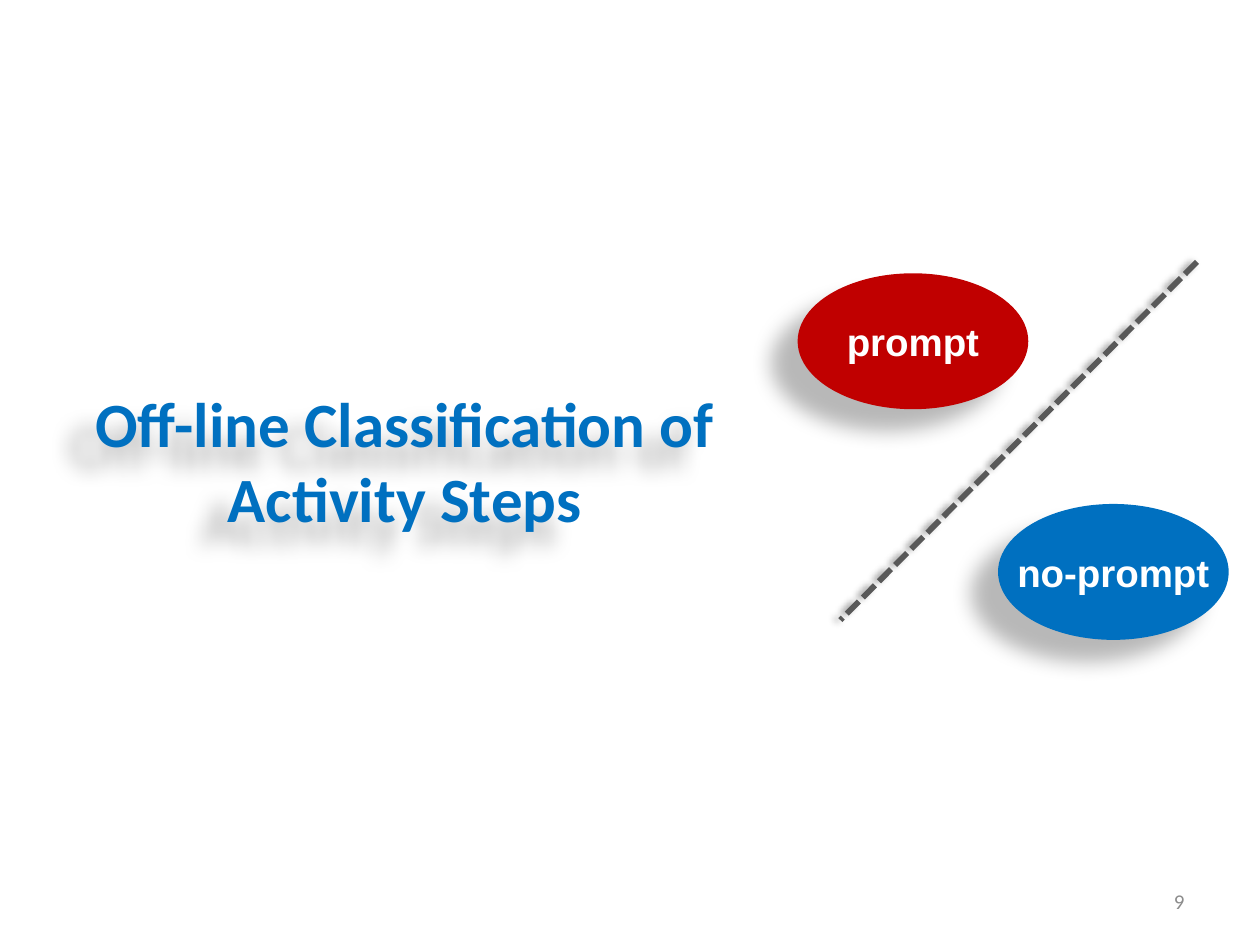
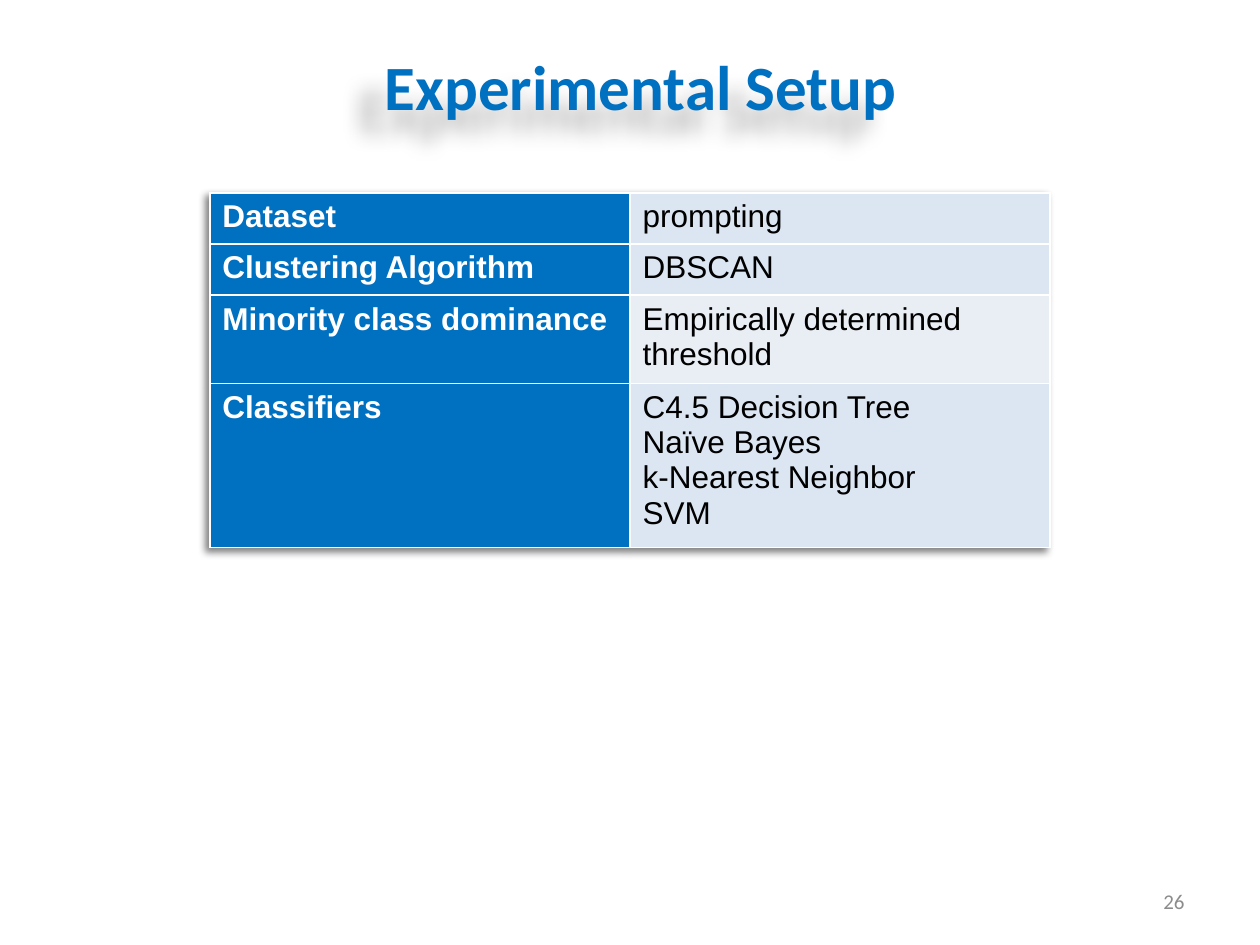
from lxml.etree import SubElement as Sub
from pptx import Presentation
from pptx.dml.color import RGBColor as Rgb
from pptx.enum.dml import MSO_LINE as Dash
from pptx.enum.shapes import MSO_CONNECTOR as Link, MSO_SHAPE as Kind
from pptx.enum.text import MSO_ANCHOR as Anchor, MSO_AUTO_SIZE as Fit, PP_ALIGN as Align
from pptx.oxml import parse_xml
from pptx.oxml.ns import nsdecls, qn
from pptx.util import Cm, Pt

# Content
INTRO = {"title": "Off-line Classification of Activity Steps",
         "box": (0.64, 7.62, 15.04, 3.33), "page": "9"}
SETUP = {"title": "Experimental Setup",
         "box": (3.81, 0.84, 18.21, 1.8), "page": "26"}
CLASSES = [("prompt", "red", 16.08, 5.51), ("no-prompt", "blue", 20.12, 10.16)]
SPLIT = (24.13, 5.28, 16.94, 12.5)
ROWS = [  # label, values, fill, height
    ("Dataset", ["prompting"], "pale", 1.03),
    ("Clustering Algorithm", ["DBSCAN"], "pale", 1.03),
    ("Minority class dominance", ["Empirically determined threshold"], "mist", 1.78),
    ("Classifiers", ["C4.5 Decision Tree", "Naïve Bayes", "k-Nearest Neighbor", "SVM"],
     "pale", 3.3),
]

# Shared style
HUES = {"blue": "0070C0", "red": "C00000", "white": "FFFFFF", "black": "000000",
        "gray": "8C8C8C", "dark": "595959", "pale": "DCE6F2", "mist": "E9EDF4"}
OVAL = (4.65, 2.74)
PAGE = (18.21, 17.65, 5.92, 1.02)
TABLE = (4.23, 3.89)
COL = 8.47
DEEP = (28, 11.8, 19.7, 141)  # opacity %, blur pt, distance pt, angle
SOFT = (40, 4, 3, 180)
LOW = (50, 4, 3, 141)


def hue(name):
    return Rgb.from_string(HUES[name])


def cms(sizes):
    return [Cm(size) for size in sizes]


def style(frame, font, size, color, bold=False, align=None):
    for para in frame.paragraphs:
        if align is not None:
            para.alignment = align
        for run in para.runs:
            run.font.name, run.font.size, run.font.bold = font, Pt(size), bold
            run.font.color.rgb = hue(color)


def shade(alpha, blur, dist, angle):
    return parse_xml(
        f'<a:effectLst {nsdecls("a")}><a:outerShdw blurRad="{Pt(blur)}" dist="{Pt(dist)}" '
        f'dir="{angle * 60000}" algn="t" rotWithShape="0"><a:srgbClr val="{HUES["black"]}">'
        f'<a:alpha val="{alpha * 1000}"/></a:srgbClr></a:outerShdw></a:effectLst>')


def start(deck, info):
    """Add a slide with its title and page number."""
    slide = deck.slides.add_slide(deck.slide_layouts[5])
    title = slide.shapes.title
    title.left, title.top, title.width, title.height = cms(info["box"])
    frame = title.text_frame
    frame.text = info["title"]
    frame.auto_size, frame.vertical_anchor = Fit.NONE, Anchor.TOP
    style(frame, "Calibri", 36, "blue", True, Align.CENTER)
    title._element.spPr.append(shade(*DEEP))

    frame = slide.shapes.add_textbox(*cms(PAGE)).text_frame
    frame.text = info["page"]
    frame.word_wrap, frame.vertical_anchor = True, Anchor.MIDDLE
    style(frame, "Calibri", 12, "gray", align=Align.RIGHT)
    return slide


def draw_split(slide):
    line = slide.shapes.add_connector(Link.STRAIGHT, *cms(SPLIT))
    line.line.color.rgb = hue("dark")
    line.line.width, line.line.dash_style = Pt(3.25), Dash.SQUARE_DOT
    line._element.spPr.append(shade(*SOFT))


def draw_class(slide, name, color, left, top):
    oval = slide.shapes.add_shape(Kind.OVAL, *cms((left, top, *OVAL)))
    oval.fill.solid()
    oval.fill.fore_color.rgb = hue(color)
    oval.line.fill.background()
    oval._element.spPr.append(shade(*DEEP))
    frame = oval.text_frame
    frame.text = name
    frame.word_wrap, frame.vertical_anchor = False, Anchor.MIDDLE
    style(frame, "Arial", 22, "white", True, Align.CENTER)


def edge(cell):
    """Put thin white lines on all sides, ahead of the fill."""
    props = cell._tc.get_or_add_tcPr()
    for spot, side in enumerate(("lnL", "lnR", "lnT", "lnB")):
        line = parse_xml(f'<a:{side} {nsdecls("a")} w="{Pt(1)}"/>')
        solid = Sub(line, qn("a:solidFill"))
        Sub(solid, qn("a:srgbClr")).set("val", HUES["white"])
        props.insert(spot, line)


def draw_table(slide):
    high = sum(row[-1] for row in ROWS)
    table = slide.shapes.add_table(len(ROWS), 2, *cms((*TABLE, 2 * COL, high))).table
    table._tbl.tblPr.insert(0, shade(*LOW))
    for line, (label, values, fill, tall) in zip(table.rows, ROWS):
        line.height = Cm(tall)
        parts = [(label, "blue", "white", True), ("\n".join(values), fill, "black", False)]
        for cell, (text, back, ink, bold) in zip(line.cells, parts):
            cell.text_frame.text = text
            style(cell.text_frame, "Arial", 18, ink, bold)
            cell.fill.solid()
            cell.fill.fore_color.rgb = hue(back)
            edge(cell)


def main():
    deck = Presentation()
    deck.slide_width, deck.slide_height = Cm(25.4), Cm(19.05)

    # Two classes and the line between them
    slide = start(deck, INTRO)
    draw_split(slide)
    for item in CLASSES:
        draw_class(slide, *item)

    # Setup table
    draw_table(start(deck, SETUP))
    deck.save("out.pptx")


if __name__ == "__main__":
    main()
